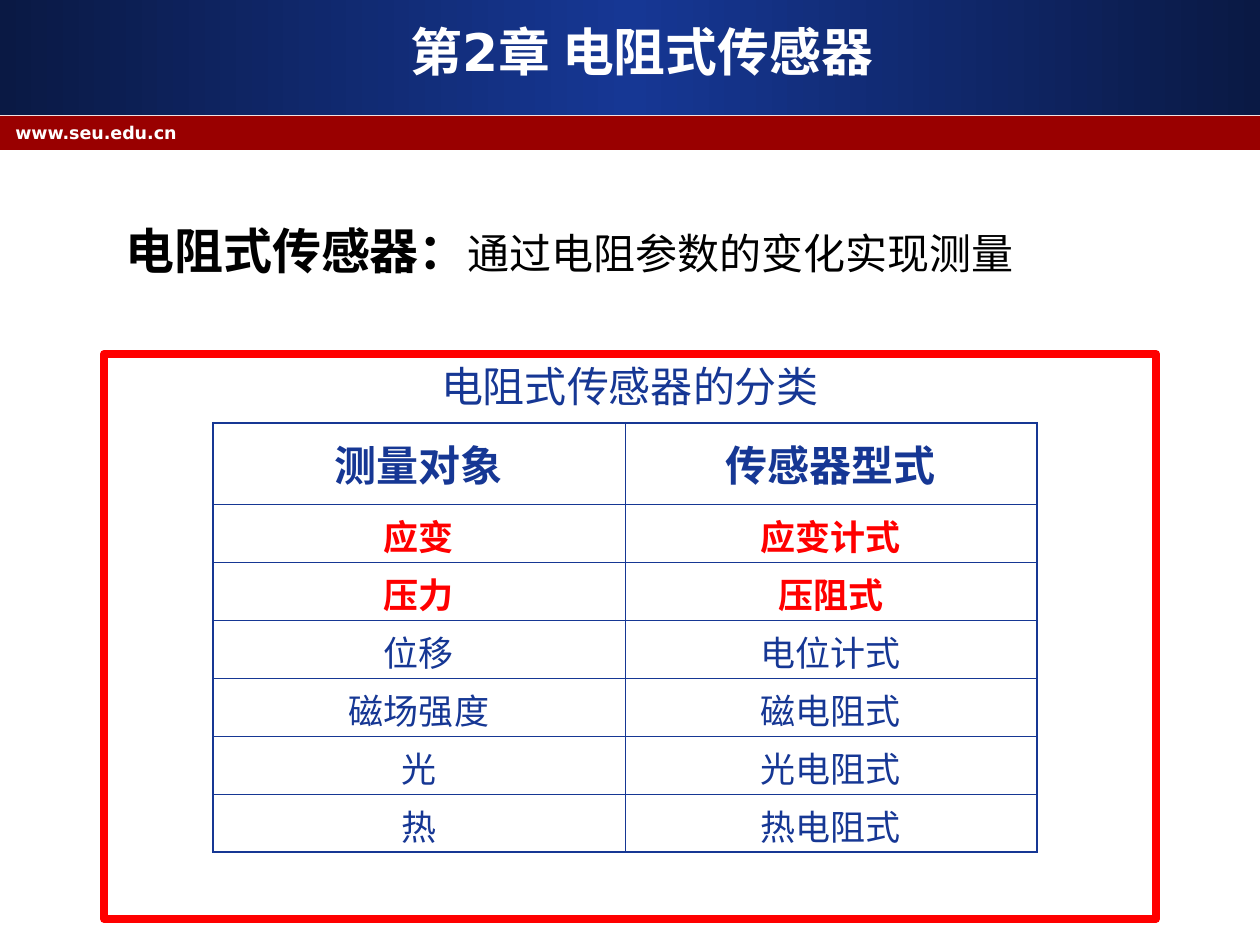
from copy import deepcopy

from lxml import etree
from pptx import Presentation
from pptx import util as u
from pptx.dml import color
from pptx.enum import shapes, text
from pptx.oxml import ns

NAVY, BLUE, CRIMSON = "0A1944", "163794", "990000"
RED, WHITE, BLACK = "FF0000", "FFFFFF", "000000"
BODY_FONT, HEAD_FONT = "Arial", "DejaVu Sans"
HEADERS = ("测量对象", "传感器型式")
SENSORS = (
    ("应变", "应变计式"),
    ("压力", "压阻式"),
    ("位移", "电位计式"),
    ("磁场强度", "磁电阻式"),
    ("光", "光电阻式"),
    ("热", "热电阻式"),
)
HIGHLIGHTED = 2


def px(length):
    """Turn pixels, 126 to the inch, into EMU."""
    return u.Emu(round(length * 914400 / 126))


def place(box):
    """Turn a pixel box into EMU."""
    return [px(length) for length in box]


def rgb(value):
    """Turn a hex string into a colour."""
    return color.RGBColor.from_string(value)


def add_run(paragraph, words, size, hue, font=BODY_FONT, bold=False):
    """Add one formatted run."""
    run = paragraph.add_run()
    run.text = words
    run.font.size = u.Pt(size)
    run.font.name = font
    run.font.bold = bold
    run.font.color.rgb = rgb(hue)


def add_rectangle(slide, box):
    """Add a rectangle without shadow or line."""
    rectangle = slide.shapes.add_shape(shapes.MSO_SHAPE.RECTANGLE, *place(box))
    rectangle.shadow.inherit = False
    rectangle.line.fill.background()
    return rectangle


def add_line_of_text(slide, box):
    """Add a wrapping text box and return its paragraph."""
    frame = slide.shapes.add_textbox(*place(box)).text_frame
    frame.word_wrap = True
    return frame.paragraphs[0]


def add_header(slide, box):
    """Build the gradient banner, the address bar and the title."""
    left, top, width, height = box
    banner = add_rectangle(slide, (left, top, width, 115))
    banner.fill.gradient()
    banner.fill.gradient_angle = 0
    first = banner.fill.gradient_stops[0]
    first.color.rgb = rgb(NAVY)
    stop_list = banner.element.spPr.find(".//" + ns.qn("a:gsLst"))
    stop_list.insert(1, deepcopy(stop_list[0]))
    for stop, position, hue in zip(
        banner.fill.gradient_stops, (0, 0.5, 1), (NAVY, BLUE, NAVY)
    ):
        stop.position = position
        stop.color.rgb = rgb(hue)

    address_bar = add_rectangle(slide, (left, top + 116, width, height - 116))
    address_bar.fill.solid()
    address_bar.fill.fore_color.rgb = rgb(CRIMSON)
    address = add_line_of_text(slide, (left + 3, top + 116, 1166, 32))
    add_run(address, "www.seu.edu.cn", 10, WHITE, HEAD_FONT, True)

    title = slide.shapes.title
    title.left, title.top, title.width, title.height = place(
        (left + 59, top + 16, 1166, 78)
    )
    title.text_frame.auto_size = text.MSO_AUTO_SIZE.NONE
    title.text_frame.vertical_anchor = text.MSO_ANCHOR.MIDDLE
    heading = title.text_frame.paragraphs[0]
    heading.alignment = text.PP_ALIGN.CENTER
    heading.line_spacing = 0.9
    add_run(heading, "第2章 电阻式传感器", 29.6, WHITE, HEAD_FONT, True)
    title.element.getparent().append(title.element)


def add_definition(slide, box):
    """Build the definition line."""
    definition = add_line_of_text(slide, box)
    add_run(definition, "电阻式传感器：", 28, BLACK, bold=True)
    add_run(definition, "通过电阻参数的变化实现测量", 24, BLACK)


def set_border(cell, side, width):
    """Draw one side of a table cell."""
    properties = cell._tc.get_or_add_tcPr()
    edge = etree.SubElement(properties, ns.qn("a:" + side), w=str(u.Pt(width)))
    fill = etree.SubElement(edge, ns.qn("a:solidFill"))
    etree.SubElement(fill, ns.qn("a:srgbClr"), val=BLUE)


def add_sensor_table(slide, box):
    """Build the table of measured quantities and sensor types."""
    rows = (HEADERS, *SENSORS)
    last_row, last_column = len(rows) - 1, len(HEADERS) - 1
    table = slide.shapes.add_table(len(rows), len(HEADERS), *place(box)).table
    table.first_row = table.horz_banding = False
    header_height = 81
    for column in table.columns:
        column.width = px(box[2] / len(HEADERS))
    for r, names in enumerate(rows):
        body_height = (box[3] - header_height) / len(SENSORS)
        table.rows[r].height = px(body_height if r else header_height)
        for c, name in enumerate(names):
            cell = table.cell(r, c)
            set_border(cell, "lnL", 0.45 if c else 1.08)
            set_border(cell, "lnR", 1.08 if c == last_column else 0.45)
            set_border(cell, "lnT", 0.45 if r else 1.47)
            set_border(cell, "lnB", 1.08 if r == last_row else 0.45)
            cell.fill.solid()
            cell.fill.fore_color.rgb = rgb(WHITE)
            cell.vertical_anchor = text.MSO_ANCHOR.MIDDLE
            paragraph = cell.text_frame.paragraphs[0]
            paragraph.alignment = text.PP_ALIGN.CENTER
            hue = RED if 1 <= r <= HIGHLIGHTED else BLUE
            add_run(paragraph, name, 20 if r else 24, hue, bold=r <= HIGHLIGHTED)


def add_classification(slide, box):
    """Build the red frame with its caption and table."""
    left, top, width, height = box
    frame = add_rectangle(slide, box)
    frame.fill.solid()
    frame.fill.fore_color.rgb = rgb(WHITE)
    frame.line.color.rgb = rgb(RED)
    frame.line.width = u.Pt(4.5)
    caption = add_line_of_text(slide, (left + 30, top, width - 60, 63))
    caption.alignment = text.PP_ALIGN.CENTER
    add_run(caption, "电阻式传感器的分类", 24, BLUE)
    add_sensor_table(slide, (left + 109, top + 69, 824, 429))


def main():
    """Build and save the slide."""
    deck = Presentation()
    deck.slide_width, deck.slide_height = px(1260), px(945)
    slide = deck.slides.add_slide(deck.slide_layouts[5])
    add_header(slide, (0, 0, 1260, 150))
    add_definition(slide, (113, 214, 1032, 72))
    add_classification(slide, (104, 354, 1052, 565))
    deck.save("out.pptx")


if __name__ == "__main__":
    main()
